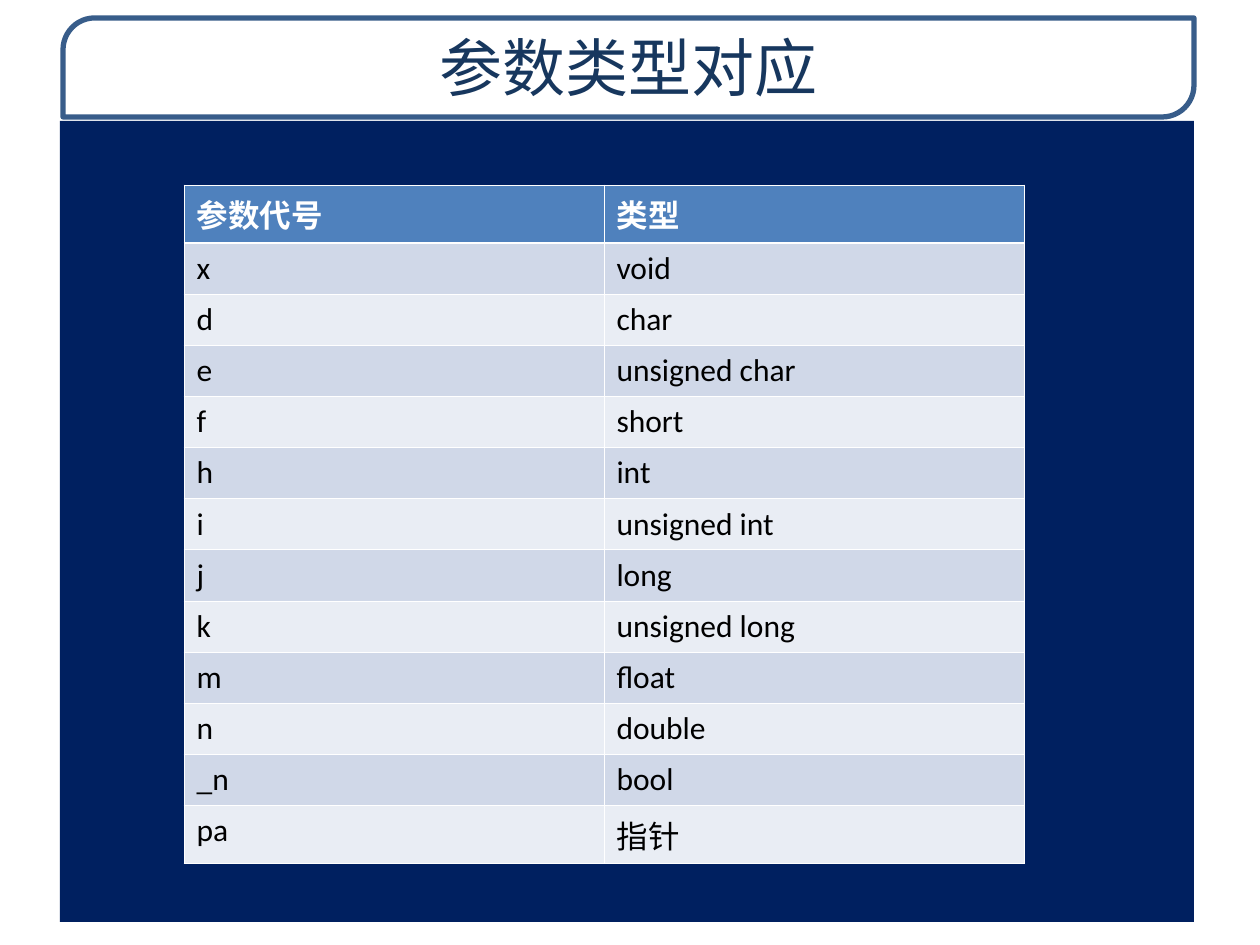
from lxml.etree import SubElement
from pptx import Presentation
from pptx.dml.color import RGBColor
from pptx.enum.shapes import MSO_SHAPE as Shape
from pptx.enum.text import MSO_ANCHOR as Anchor, PP_ALIGN as Align
from pptx.oxml import parse_xml
from pptx.oxml.ns import nsdecls, qn
from pptx.util import Pt

PX = 914400 // 126
WHITE = RGBColor(0xFF, 0xFF, 0xFF)
BLACK = RGBColor(0x00, 0x00, 0x00)
NAVY = RGBColor(0x00, 0x20, 0x60)
TITLE_BLUE = RGBColor(0x17, 0x37, 0x5E)
FRAME_BLUE = RGBColor(0x38, 0x5D, 0x8A)
HEADER_BLUE = RGBColor(0x4F, 0x81, 0xBD)
BAND_DARK = RGBColor(0xD0, 0xD8, 0xE8)
BAND_LIGHT = RGBColor(0xE9, 0xED, 0xF4)
LATIN_FONT = "Calibri"
CHINESE_FONT = "Noto Sans CJK SC"

ROWS = [
    ("参数代号", "类型"),
    ("x", "void"),
    ("d", "char"),
    ("e", "unsigned char"),
    ("f", "short"),
    ("h", "int"),
    ("i", "unsigned int"),
    ("j", "long"),
    ("k", "unsigned long"),
    ("m", "float"),
    ("n", "double"),
    ("_n", "bool"),
    ("pa", "指针"),
]


def format_run(run, size, color, latin, bold=False):
    run.font.size = Pt(size)
    run.font.bold = bold
    run.font.color.rgb = color
    run.font.name = latin
    SubElement(run.font._element, qn("a:ea"), typeface=CHINESE_FONT)


def add_borders(cell, widths):
    properties = cell._tc.get_or_add_tcPr()
    for index, (side, width) in enumerate(widths.items()):
        properties.insert(index, parse_xml(
            f'<a:{side} {nsdecls("a")} w="{Pt(width)}"><a:solidFill>'
            f'<a:srgbClr val="{WHITE}"/></a:solidFill></a:{side}>'))


presentation = Presentation()
presentation.slide_width = 1260 * PX
presentation.slide_height = 945 * PX
slide = presentation.slides.add_slide(presentation.slide_layouts[5])

title = slide.shapes.title
title.left, title.top, title.width, title.height = 64 * PX, 18 * PX, 1130 * PX, 96 * PX
title.text_frame.text = "参数类型对应"
title.text_frame.vertical_anchor = Anchor.MIDDLE
title.text_frame.paragraphs[0].alignment = Align.CENTER
format_run(title.text_frame.paragraphs[0].runs[0], 36, TITLE_BLUE, CHINESE_FONT)

frame = slide.shapes.add_shape(Shape.ROUND_2_DIAG_RECTANGLE, 63 * PX, 18 * PX, 1131 * PX, 99 * PX)
frame.adjustments[0] = 0.32
frame.shadow.inherit = False
frame.fill.solid()
frame.fill.fore_color.rgb = WHITE
fill_color = frame.element.spPr.find(qn("a:solidFill")).find(qn("a:srgbClr"))
SubElement(fill_color, qn("a:alpha"), val="85000")
frame.line.color.rgb = FRAME_BLUE
frame.line.width = Pt(3)
title.element.addprevious(frame.element)

panel = slide.shapes.add_shape(Shape.RECTANGLE, 60 * PX, 121 * PX, 1134 * PX, 801 * PX)
panel.shadow.inherit = False
panel.fill.solid()
panel.fill.fore_color.rgb = NAVY
panel.line.fill.background()

table = slide.shapes.add_table(len(ROWS), 2, 184 * PX, 185 * PX, 840 * PX, 51 * len(ROWS) * PX).table
for row_index, row in enumerate(ROWS):
    table.rows[row_index].height = 51 * PX
    is_header = row_index == 0
    band = HEADER_BLUE if is_header else BAND_DARK if row_index % 2 else BAND_LIGHT
    for column_index, text in enumerate(row):
        cell = table.cell(row_index, column_index)
        cell.text_frame.text = text
        cell.fill.solid()
        cell.fill.fore_color.rgb = band
        format_run(cell.text_frame.paragraphs[0].runs[0], 18,
                   WHITE if is_header else BLACK, LATIN_FONT, is_header)
        add_borders(cell, {
            "lnL": 0.45,
            "lnR": 0.45,
            "lnT": 1.47 if row_index == 1 else 0.45,
            "lnB": 1.47 if is_header else 0.45,
        })

presentation.save("out.pptx")
